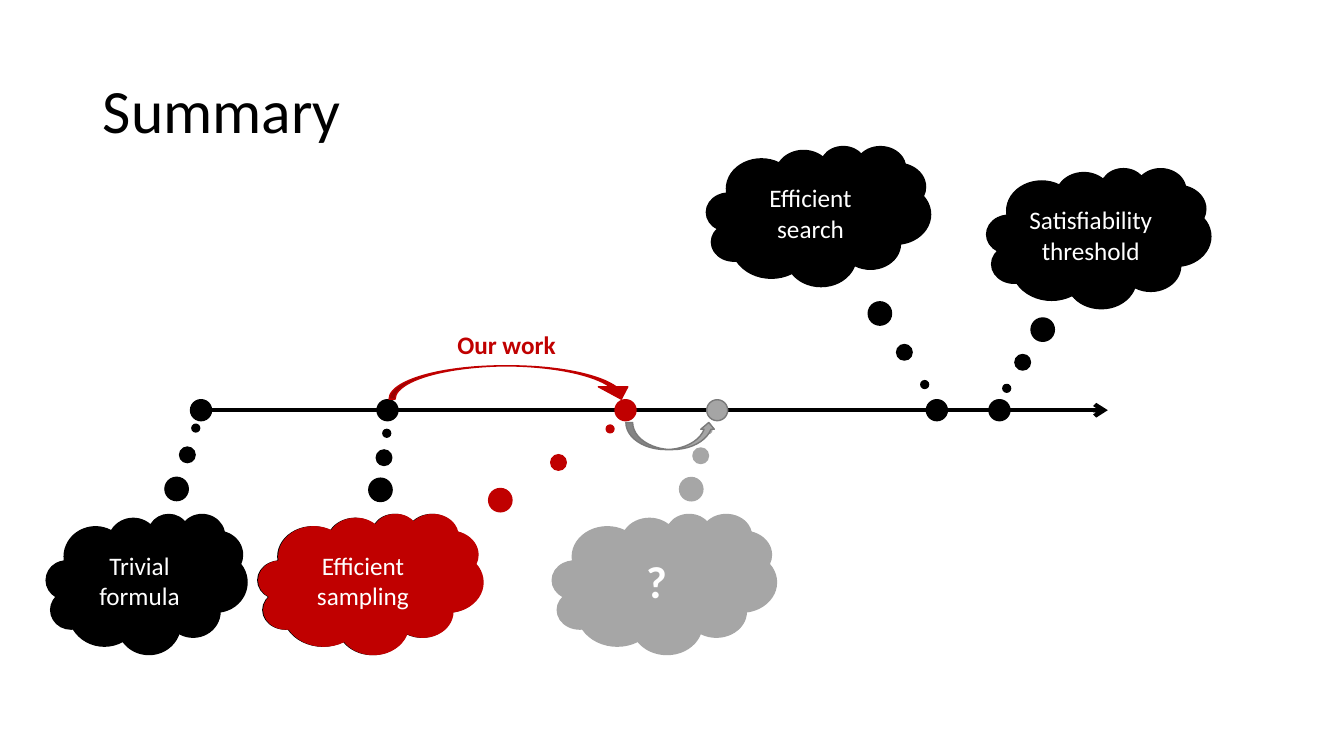
"""Build the summary slide: a threshold axis with thought clouds."""
from dataclasses import dataclass

from lxml import etree
from pptx import Presentation
from pptx.dml.color import RGBColor
from pptx.enum.shapes import MSO_CONNECTOR, MSO_SHAPE
from pptx.enum.text import MSO_ANCHOR, PP_ALIGN
from pptx.oxml.ns import qn
from pptx.util import Pt

DOT, CLOUD = MSO_SHAPE.OVAL, MSO_SHAPE.CLOUD_CALLOUT
LEFT_BOW, RIGHT_BOW = MSO_SHAPE.CURVED_LEFT_ARROW, MSO_SHAPE.CURVED_RIGHT_ARROW
LINE = MSO_CONNECTOR.STRAIGHT
MID, TOP = MSO_ANCHOR.MIDDLE, MSO_ANCHOR.TOP
LEFT, MIDST = PP_ALIGN.LEFT, PP_ALIGN.CENTER

BLACK, RED, WHITE = "000000", "C00000", "FFFFFF"
GREY, PALE, EDGE = "A5A5A5", "A6A6A6", "7A7A7A"
AXIS, SIZE, LOW = 293, 15, 367.2


@dataclass
class Part:
    kind: MSO_SHAPE
    box: tuple[float, float, float, float]
    fill: str
    edge: str
    adj: tuple[float, ...] = ()
    text: str = ""
    size: float = 18
    bold: bool = False
    turn: float = 0


def hue(code: str) -> RGBColor:
    return RGBColor.from_string(code)


def dot(mid: float, fill: str = BLACK, edge: str = BLACK) -> Part:
    half = SIZE / 2
    return Part(DOT, (mid - half, AXIS - half, SIZE, SIZE), fill, edge)


def cloud(left: float, top: float, adj: tuple[float, float], text: str = "",
          fill: str = BLACK, wide: float = 160, size: float = 18,
          bold: bool = False) -> Part:
    return Part(CLOUD, (left, top, wide, 100), fill, fill, adj, text, size, bold)


PARTS = [
    dot(143.6),
    cloud(33.1, LOW, (0.245, -1.114), "Trivial formula", wide=143.3),
    dot(713.9),
    cloud(704.9, 120.2, (-0.411, 1.072), "Satisfiability threshold"),
    dot(669.2),
    cloud(504.7, 104.4, (0.474, 1.203), "Efficient search"),
    dot(276.8),
    cloud(184.3, LOW, (0.075, -1.077)),
    dot(446.8, RED, RED),
    cloud(185, LOW, (1.068, -1.108), "Efficient sampling", RED),
    Part(LEFT_BOW, (354.2, 185, 23.8, 176.4), RED, RED,
         (0.181, 0.884, 0.372), turn=270),
    dot(512.3, GREY, EDGE),
    cloud(394.6, LOW, (0.195, -1.102), "?", PALE, size=32, bold=True),
    Part(RIGHT_BOW, (469.4, 279.4, 19.4, 64.1), GREY, EDGE, turn=270),
]


def write(shape, text: str, size: float, code: str, bold: bool = False,
          align: PP_ALIGN = MIDST, anchor: MSO_ANCHOR = MID):
    frame = shape.text_frame
    frame.text = text
    frame.word_wrap = True
    frame.vertical_anchor = anchor
    para = frame.paragraphs[0]
    para.alignment = align
    font = para.runs[0].font
    style = {"name": "Calibri", "size": Pt(size), "bold": bold}
    for key, value in style.items():
        setattr(font, key, value)
    font.color.rgb = hue(code)
    return para


def head(slide) -> None:
    title = slide.shapes.title
    place = {"left": 66.2, "top": 28.8, "width": 828, "height": 104.4}
    for key, value in place.items():
        setattr(title, key, Pt(value))
    write(title, "Summary", 44, BLACK, align=LEFT).line_spacing = 0.9


def axis(slide) -> None:
    line = slide.shapes.add_connector(
        LINE, Pt(136), Pt(AXIS), Pt(791.3), Pt(AXIS))
    line.line.color.rgb = hue(BLACK)
    line.line.width = Pt(3)
    props = line.element.spPr
    etree.SubElement(props.find(qn("a:ln")), qn("a:tailEnd"), type="arrow")
    etree.SubElement(props, qn("a:effectLst"))


def draw(slide, part: Part) -> None:
    shape = slide.shapes.add_shape(part.kind, *map(Pt, part.box))
    shape.shadow.inherit = False
    shape.rotation = part.turn
    shape.fill.solid()
    shape.fill.fore_color.rgb = hue(part.fill)
    shape.line.color.rgb = hue(part.edge)
    shape.line.width = Pt(1)
    for index, value in enumerate(part.adj):
        shape.adjustments[index] = value
    if part.text:
        write(shape, part.text, part.size, WHITE, part.bold)


def main() -> None:
    deck = Presentation()
    deck.slide_width, deck.slide_height = Pt(960), Pt(540)
    slide = deck.slides.add_slide(deck.slide_layouts[5])
    head(slide)
    axis(slide)
    for part in PARTS:
        draw(slide, part)
    label = slide.shapes.add_textbox(*map(Pt, (303.1, 231.8, 117.4, 28.8)))
    write(label, "Our work", 18, RED, True, anchor=TOP)
    deck.save("out.pptx")


if __name__ == "__main__":
    main()
